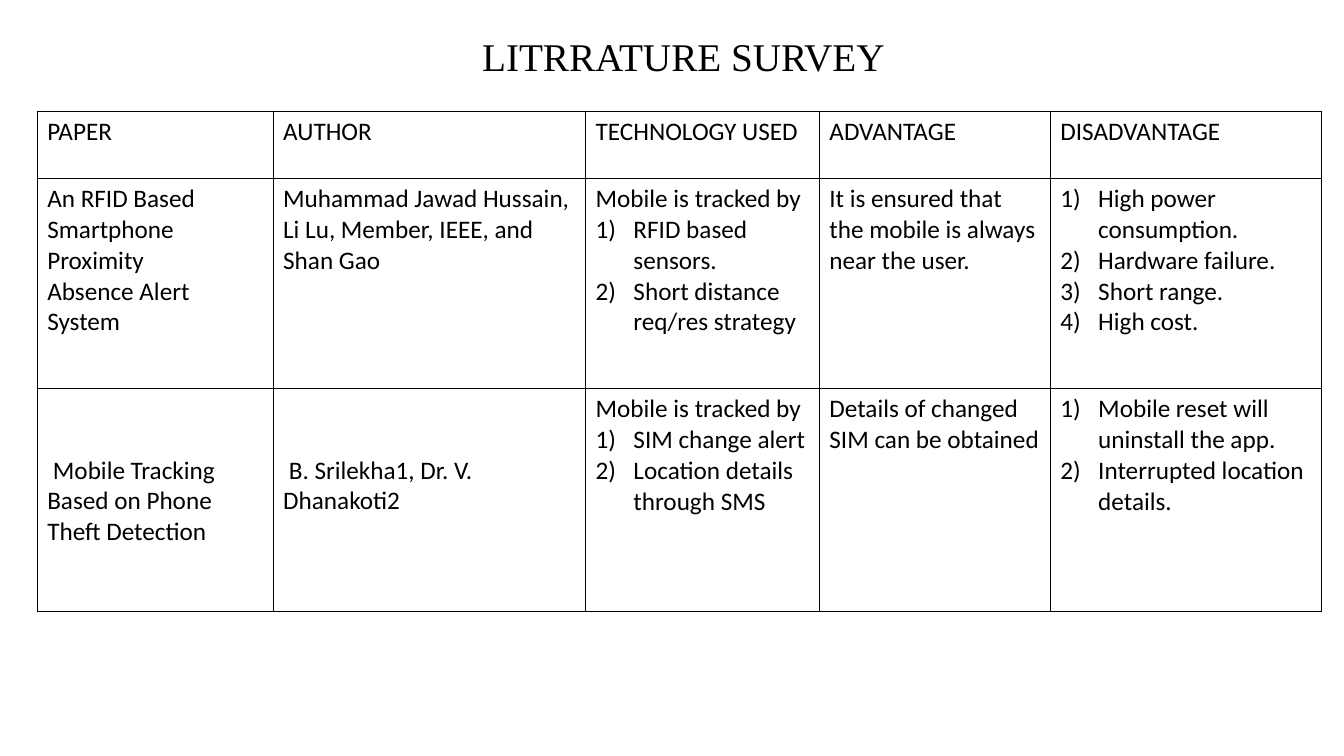
from lxml.etree import SubElement
from pptx import Presentation
from pptx.dml.color import RGBColor
from pptx.enum.text import MSO_ANCHOR, PP_ALIGN
from pptx.oxml.ns import qn
from pptx.util import Pt

BLACK = RGBColor(0, 0, 0)
BODY_FONT = "Calibri"
TITLE_FONT = "Times New Roman"
BODY_SIZE = 18
INDENT = 27
LOWERED_TOP = 47.5

COLUMN_WIDTHS = [168.5, 223.2, 167, 165, 193.7]
ROW_HEIGHTS = [48.2, 150, 159]
HEADINGS = ["PAPER", "AUTHOR", "TECHNOLOGY USED", "ADVANTAGE", "DISADVANTAGE"]
SURVEY = [
    [([heading], []) for heading in HEADINGS],
    [
        (["An RFID Based Smartphone Proximity", "Absence Alert System"], []),
        (["Muhammad Jawad Hussain, Li Lu, Member, IEEE, and Shan Gao"], []),
        (["Mobile is tracked by"],
         ["RFID based sensors.", "Short distance req/res strategy"]),
        (["It is ensured that the mobile is always near the user."], []),
        ([], ["High power consumption.", "Hardware failure.",
              "Short range.", "High cost."]),
    ],
    [
        ([" Mobile Tracking Based on Phone Theft Detection"], []),
        ([" B. Srilekha1, Dr. V. Dhanakoti2"], []),
        (["Mobile is tracked by"],
         ["SIM change alert", "Location details through SMS"]),
        (["Details of changed SIM can be obtained"], []),
        ([], ["Mobile reset will uninstall the app.",
              "Interrupted location details."]),
    ],
]
LOWERED_CELLS = {(2, 0), (2, 1)}


def add_text(paragraph, text, font_name, size):
    run = paragraph.add_run()
    run.text = text
    run.font.name = font_name
    run.font.size = Pt(size)
    run.font.color.rgb = BLACK


def number_paragraph(paragraph):
    properties = paragraph._p.get_or_add_pPr()
    properties.set("marL", str(Pt(INDENT)))
    properties.set("indent", str(-Pt(INDENT)))
    SubElement(properties, qn("a:buFont"), typeface="+mj-lt")
    SubElement(properties, qn("a:buAutoNum"), type="arabicParenR")


def draw_borders(cell):
    properties = cell._tc.get_or_add_tcPr()
    for side in ("lnL", "lnR", "lnT", "lnB"):
        border = SubElement(properties, qn(f"a:{side}"), w=str(Pt(1)))
        fill = SubElement(border, qn("a:solidFill"))
        SubElement(fill, qn("a:srgbClr"), val=str(BLACK))


def fill_cell(cell, statements, numbered):
    draw_borders(cell)
    cell.fill.background()
    cell.vertical_anchor = MSO_ANCHOR.TOP
    frame = cell.text_frame
    for index, text in enumerate(statements + numbered):
        paragraph = frame.add_paragraph() if index else frame.paragraphs[0]
        if index >= len(statements):
            number_paragraph(paragraph)
        add_text(paragraph, text, BODY_FONT, BODY_SIZE)


def add_title(slide, left, top, width, height):
    title = slide.shapes.add_textbox(Pt(left), Pt(top), Pt(width), Pt(height))
    title.text_frame.word_wrap = False
    paragraph = title.text_frame.paragraphs[0]
    paragraph.alignment = PP_ALIGN.CENTER
    add_text(paragraph, "LITRRATURE SURVEY", TITLE_FONT, 28)


def add_survey_table(slide, left, top):
    survey = slide.shapes.add_table(
        len(ROW_HEIGHTS), len(COLUMN_WIDTHS), Pt(left), Pt(top),
        Pt(sum(COLUMN_WIDTHS)), Pt(sum(ROW_HEIGHTS))).table
    survey.first_row = False
    survey.horz_banding = False
    for column, width in zip(survey.columns, COLUMN_WIDTHS):
        column.width = Pt(width)
    for row, height in zip(survey.rows, ROW_HEIGHTS):
        row.height = Pt(height)
    for row_index, entries in enumerate(SURVEY):
        for column_index, (statements, numbered) in enumerate(entries):
            cell = survey.cell(row_index, column_index)
            fill_cell(cell, statements, numbered)
            if (row_index, column_index) in LOWERED_CELLS:
                cell.margin_top = Pt(LOWERED_TOP)


def main():
    presentation = Presentation()
    presentation.slide_width = Pt(960)
    presentation.slide_height = Pt(540)
    slide = presentation.slides.add_slide(presentation.slide_layouts[6])
    add_survey_table(slide, 26.6, 79.5)
    add_title(slide, 335.5, 19.4, 305.3, 41)
    presentation.save("out.pptx")


if __name__ == "__main__":
    main()
